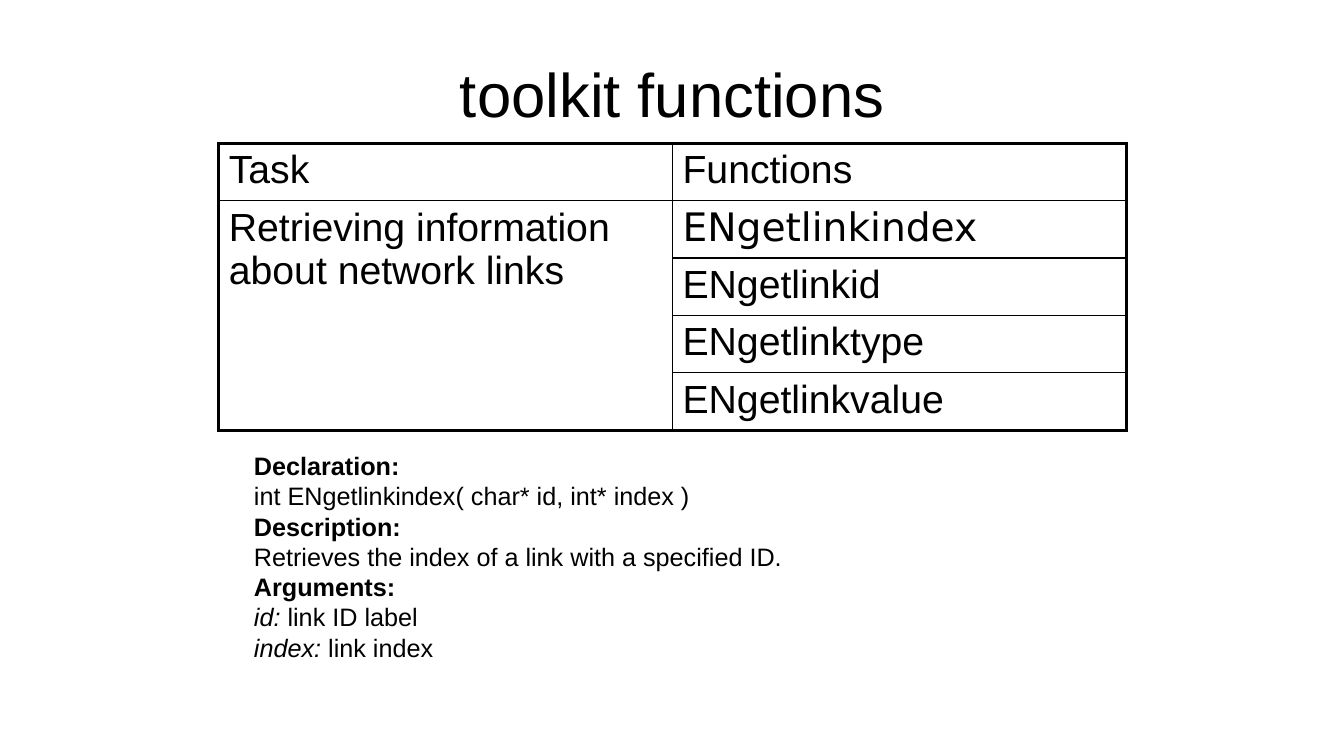
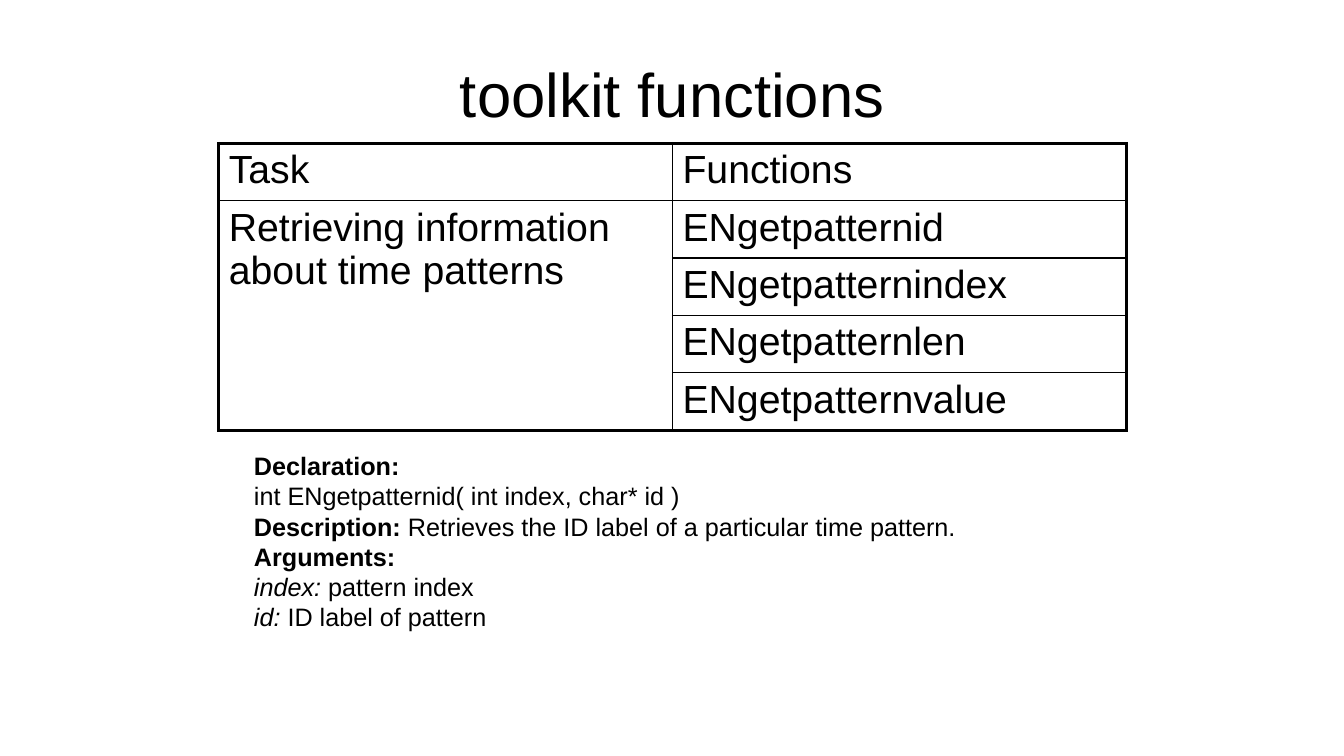
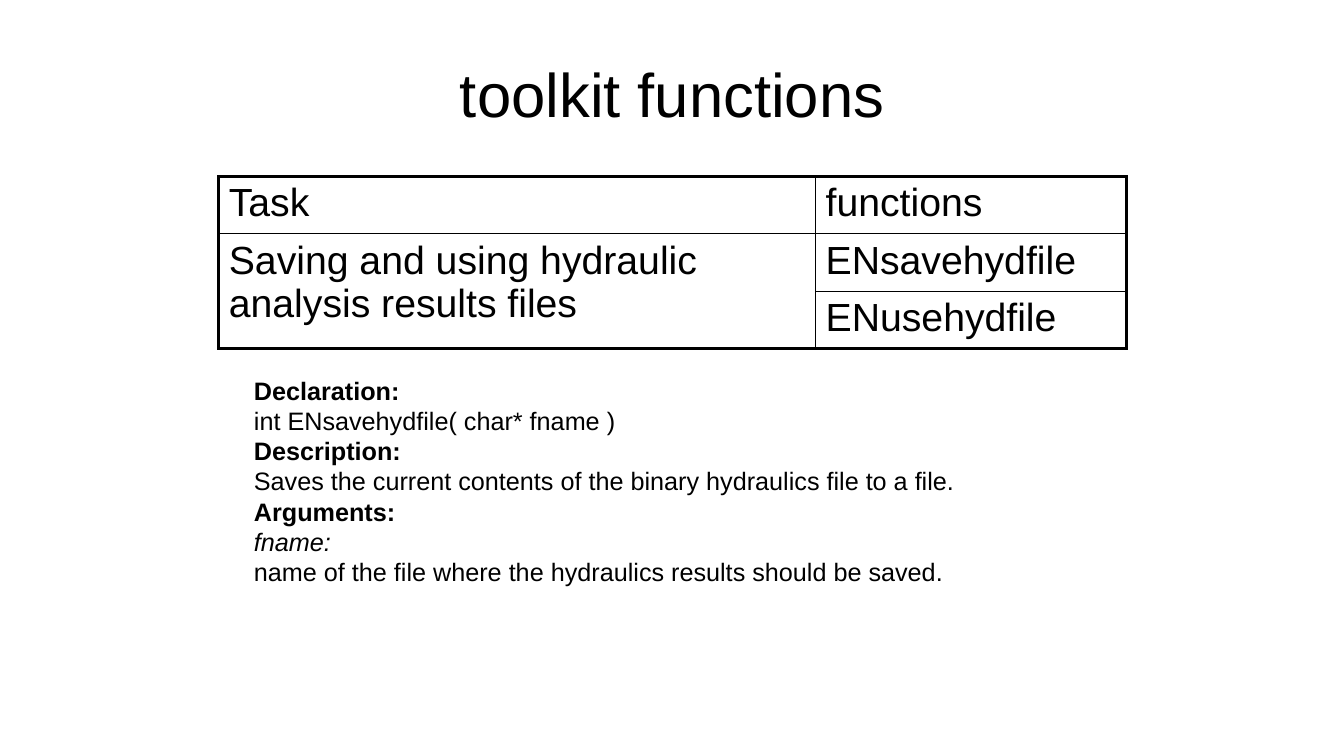
from lxml import etree
from pptx import Presentation, util as u
from pptx.dml import color
from pptx.enum import text
from pptx.oxml import ns

BLACK = "000000"
FONT = "Arial"
ROW = 0.57          # height of a table row
THICK, THIN = 2.25, 1


def paint(code):
    return color.RGBColor.from_string(code)


class Deck:
    """Holds the shared style and the current slide."""

    def __init__(self):
        self.prs = Presentation()
        self.prs.slide_width = u.Inches(13.33)
        self.prs.slide_height = u.Inches(7.5)
        self.slide = None

    def run(self, para, words, size, bold=False, slant=False, face=FONT):
        run = para.add_run()
        run.text = words
        font = run.font
        font.name, font.size = face, u.Pt(size)
        font.bold, font.italic = bold, slant
        font.color.rgb = paint(BLACK)

    def box(self, left, top, width, height):
        shape = self.slide.shapes.add_textbox(*map(u.Inches, (left, top, width, height)))
        shape.text_frame.word_wrap = True
        return shape.text_frame

    # New slide with its title
    def page(self, title):
        self.slide = self.prs.slides.add_slide(self.prs.slide_layouts[6])
        frame = self.box(0.67, 0.3, 12, 1.25)
        frame.vertical_anchor = text.MSO_ANCHOR.MIDDLE
        para = frame.paragraphs[0]
        para.alignment = text.PP_ALIGN.CENTER
        self.run(para, title, 44)

    # Labels in bold, argument names in italics; one list of runs per line
    def notes(self, top, lines):
        frame = self.box(2.42, top, 8.25, 0.1 + 0.3 * (len(lines) + 1))
        for i, line in enumerate(lines):
            para = frame.add_paragraph() if i else frame.paragraphs[0]
            for words, style in line:
                self.run(para, words, 18, bold=style == "b", slant=style == "i")

    def edge(self, cell, side, width):
        props = cell._tc.get_or_add_tcPr()
        line = etree.SubElement(props, ns.qn("a:ln" + side), w=str(u.Pt(width)))
        fill = etree.SubElement(line, ns.qn("a:solidFill"))
        etree.SubElement(fill, ns.qn("a:srgbClr"), val=BLACK)

    # One task on the left, spanning its functions on the right
    def table(self, top, widths, heads, task, funcs, faces):
        last = len(funcs)
        grid = self.slide.shapes.add_table(
            last + 1, 2, u.Inches(2.17), u.Inches(top),
            u.Inches(sum(widths)), u.Inches(ROW * (last + 1))).table
        grid.first_row = grid.horz_banding = False
        for col, width in zip(grid.columns, widths):
            col.width = u.Inches(width)
        for row in grid.rows:
            row.height = u.Inches(ROW)
        grid.cell(1, 0).merge(grid.cell(last, 0))

        words = {(0, 0): heads[0], (0, 1): heads[1], (1, 0): task}
        words.update({(r, 1): name for r, name in enumerate(funcs, 1)})
        for r in range(last + 1):
            for c in range(2):
                cell = grid.cell(r, c)
                if (r, c) in words:
                    name = words[r, c]
                    self.run(cell.text_frame.paragraphs[0], name, 28,
                             face=faces.get(name, FONT))
                # Outer edges are thick, inner ones thin
                end = last if c == 0 and r else r
                outer = {"L": c == 0, "R": c == 1, "T": r == 0, "B": end == last}
                for side, thick in outer.items():
                    self.edge(cell, side, THICK if thick else THIN)
                cell.fill.background()


DECL, DESC, ARGS = [[(label, "b")] for label in
                    ("Declaration:", "Description:", "Arguments:")]


def plain(words):
    return [(words, "")]


def arg(name, words):
    return [(name, "i"), (words, "")]


HALVES = (4.5, 4.5)
PAGES = [
    dict(top=1.42, widths=HALVES, heads=("Task", "Functions"),
         task="Retrieving information about network links",
         funcs=["ENgetlinkindex", "ENgetlinkid", "ENgetlinktype", "ENgetlinkvalue"],
         faces={"ENgetlinkindex": "DejaVu Sans"}, below=4.42,
         lines=[DECL, plain("int ENgetlinkindex( char* id, int* index )"),
                DESC, plain("Retrieves the index of a link with a specified ID."),
                ARGS, arg("id:", " link ID label"), arg("index:", " link index")]),
    dict(top=1.42, widths=HALVES, heads=("Task", "Functions"),
         task="Retrieving information about time patterns",
         funcs=["ENgetpatternid", "ENgetpatternindex", "ENgetpatternlen",
                "ENgetpatternvalue"],
         faces={}, below=4.42,
         lines=[DECL, plain("int ENgetpatternid( int index, char* id )"),
                DESC + plain(" Retrieves the ID label of a particular time pattern."),
                ARGS, arg("index:", " pattern index"),
                arg("id:", " ID label of pattern")]),
    dict(top=1.75, widths=(5.92, 3.08), heads=("Task", "functions"),
         task="Saving and using hydraulic analysis results files",
         funcs=["ENsavehydfile", "ENusehydfile"],
         faces={}, below=3.67,
         lines=[DECL, plain("int ENsavehydfile( char* fname )"),
                DESC, plain("Saves the current contents of the binary hydraulics "
                            "file to a file."),
                ARGS, [("fname:", "i")],
                plain("name of the file where the hydraulics results should be saved.")]),
]

deck = Deck()
for page in PAGES:
    deck.page("toolkit functions")
    deck.notes(page.pop("below"), page.pop("lines"))
    deck.table(**page)
deck.prs.save("out.pptx")
